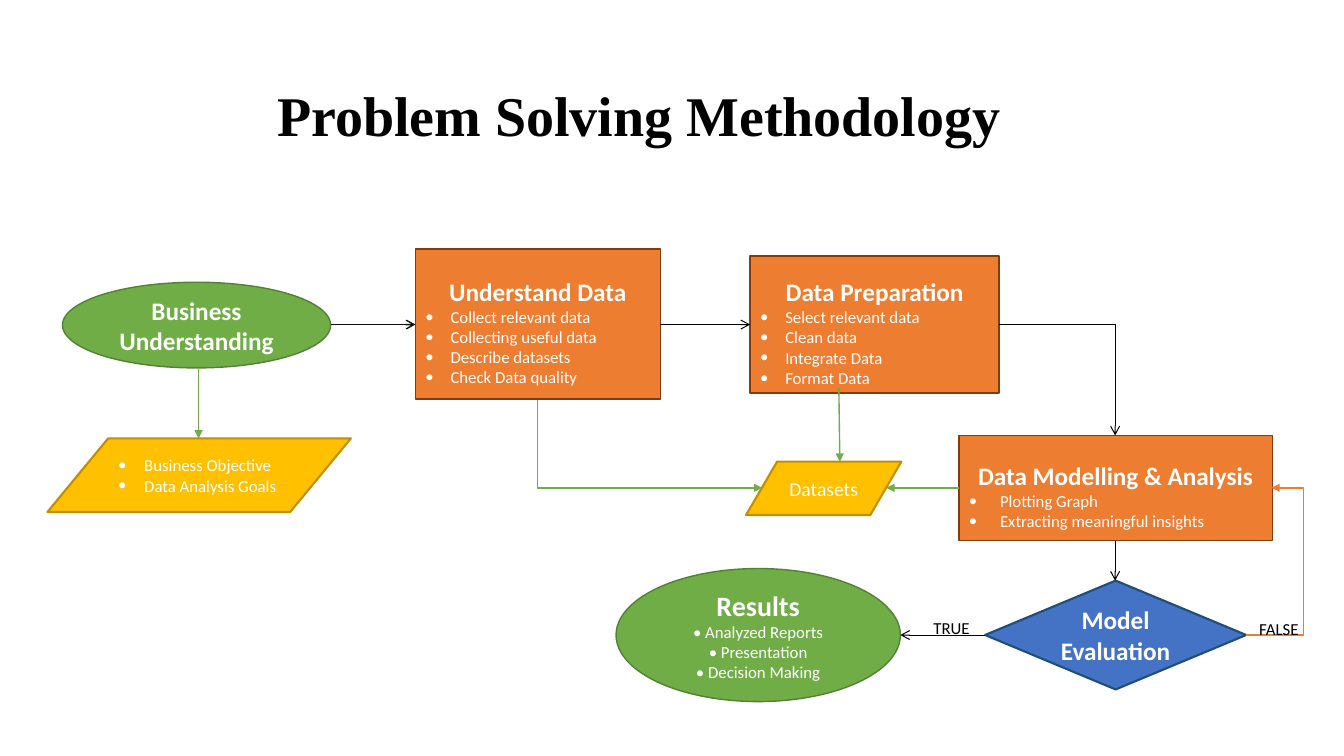
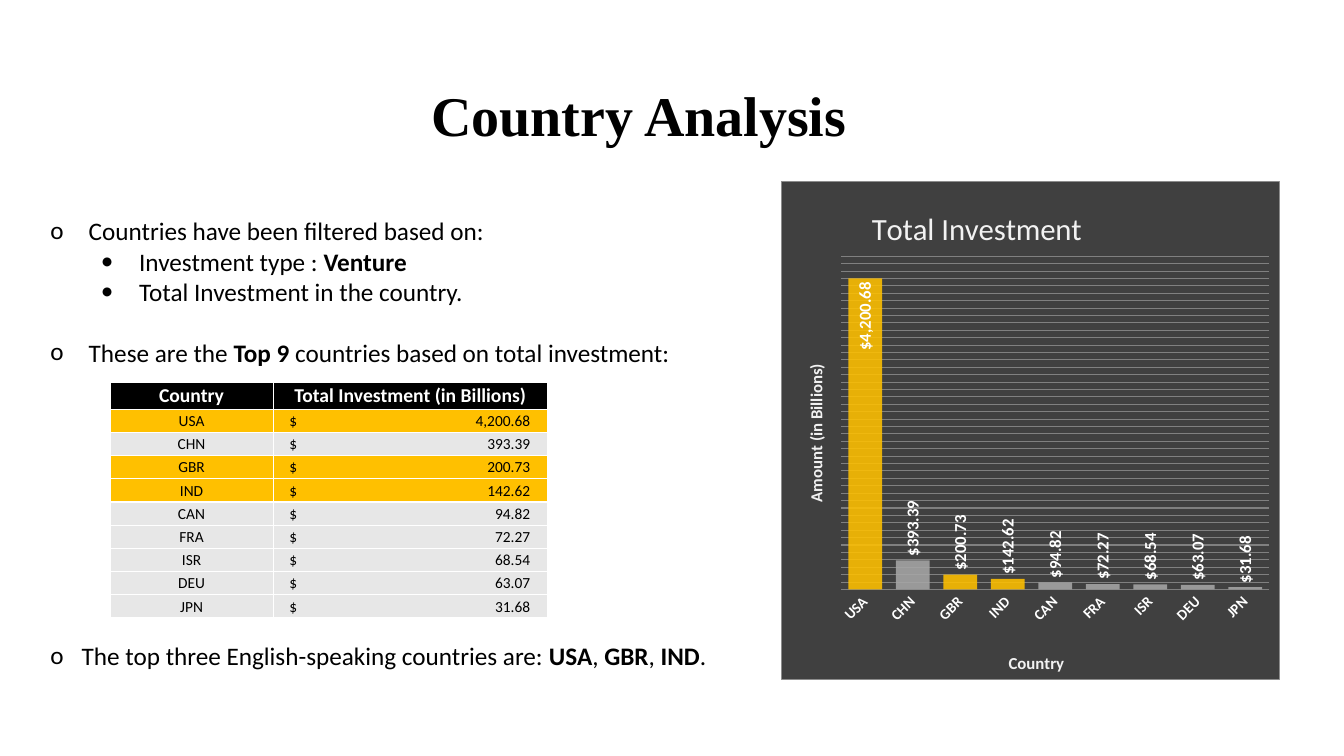
from lxml.etree import SubElement
from pptx import Presentation
from pptx.chart.data import CategoryChartData
from pptx.dml.color import RGBColor
from pptx.enum.chart import XL_CHART_TYPE, XL_LABEL_POSITION, XL_TICK_MARK
from pptx.enum.shapes import MSO_CONNECTOR, MSO_SHAPE
from pptx.enum.text import MSO_ANCHOR, MSO_AUTO_SIZE, PP_ALIGN
from pptx.oxml import parse_xml
from pptx.oxml.ns import nsdecls, qn
from pptx.util import Inches, Pt

BODY_FONT = "Calibri"
TITLE_FONT = "Times New Roman"
BLACK, WHITE, PALE = "000000", "FFFFFF", "F2F2F2"
ORANGE, GREEN, GOLD, BLUE = "ED7D31", "70AD47", "FFC000", "4472C4"
OUTLINES = {ORANGE: ("843C0B", 1), GREEN: ("538035", 1),
            GOLD: ("BF9000", 1.5), BLUE: ("1F4E79", 1.5)}
TITLE_ONLY, TITLE_AND_CONTENT = 5, 1

INVESTMENTS = {"USA": 4200.68, "CHN": 393.39, "GBR": 200.73, "IND": 142.62,
               "CAN": 94.82, "FRA": 72.27, "ISR": 68.54, "DEU": 63.07,
               "JPN": 31.68}
ENGLISH_SPEAKING = ("USA", "GBR", "IND")


def rgb(hex_color):
    return RGBColor.from_string(hex_color)


def paint(fill, hex_color):
    fill.solid()
    fill.fore_color.rgb = rgb(hex_color)


def set_font(font, size, color=BLACK, bold=False, name=BODY_FONT):
    font.name = name
    font.size = Pt(size)
    font.bold = bold
    font.color.rgb = rgb(color)


def place(shape, box):
    shape.left, shape.top, shape.width, shape.height = map(Inches, box)


def set_bullet(paragraph, char, hang, margin=None):
    """Give a hanging bullet; lengths are in inches."""
    properties = paragraph._p.get_or_add_pPr()
    properties.set("marL", str(Inches(margin or hang)))
    properties.set("indent", str(-Inches(hang)))
    SubElement(properties, qn("a:buFont")).set("typeface", BODY_FONT)
    SubElement(properties, qn("a:buChar")).set("char", char)


def add_titled_slide(deck, layout, title):
    slide = deck.slides.add_slide(deck.slide_layouts[layout])
    place(slide.shapes.title, (1.24, 0.7, 10.19, 0.94))
    frame = slide.shapes.title.text_frame
    frame.text = title
    frame.vertical_anchor = MSO_ANCHOR.MIDDLE
    heading = frame.paragraphs[0]
    heading.alignment = PP_ALIGN.CENTER
    heading.line_spacing = 0.9
    set_font(heading.font, 40, bold=True, name=TITLE_FONT)
    return slide


def add_node(slide, preset, box, color):
    """Add a flowchart shape without text."""
    node = slide.shapes.add_shape(preset, *map(Inches, box))
    node.shadow.inherit = False
    paint(node.fill, color)
    outline, width = OUTLINES[color]
    node.line.color.rgb = rgb(outline)
    node.line.width = Pt(width)
    node.text_frame.word_wrap = True
    node.text_frame.vertical_anchor = MSO_ANCHOR.MIDDLE
    return node


def write_lines(node, lines, size=12, bold=False, hang=None):
    """Add lines to a node: centred, or bulleted when hang is given."""
    frame = node.text_frame
    for line in lines:
        paragraph = frame.add_paragraph() if frame.text else frame.paragraphs[0]
        paragraph.text = line
        paragraph.alignment = PP_ALIGN.LEFT if hang else PP_ALIGN.CENTER
        set_font(paragraph.font, size, WHITE, bold)
        if hang:
            set_bullet(paragraph, "•", hang)


def add_step(slide, box, heading, tasks, hang=0.25):
    step = add_node(slide, MSO_SHAPE.RECTANGLE, box, ORANGE)
    write_lines(step, [heading], 18, bold=True)
    step.text_frame.paragraphs[0].line_spacing = 1.5
    write_lines(step, tasks, hang=hang)
    return step


def add_arrow(slide, start, end, color=BLACK, width=0.75, tip="arrow",
              tip_end="a:tailEnd", kind=MSO_CONNECTOR.STRAIGHT):
    arrow = slide.shapes.add_connector(kind, *map(Inches, start + end))
    arrow.line.color.rgb = rgb(color)
    arrow.line.width = Pt(width)
    properties = arrow.element.spPr
    SubElement(properties.find(qn("a:ln")), qn(tip_end)).set("type", tip)
    SubElement(properties, qn("a:effectLst"))
    return arrow


def add_elbow(slide, start, start_site, end, end_site, bend=None, **style):
    """Join two (node, site) pairs with one corner, or two when bend is given."""
    elbow = add_arrow(slide, start, end, kind=MSO_CONNECTOR.ELBOW, **style)
    elbow.begin_connect(*start_site)
    elbow.end_connect(*end_site)
    elbow.begin_x, elbow.begin_y = map(Inches, start)
    elbow.end_x, elbow.end_y = map(Inches, end)
    geometry = elbow.element.spPr.find(qn("a:prstGeom"))
    if bend is None:
        geometry.set("prst", "bentConnector2")
    else:
        guide = SubElement(geometry.get_or_add_avLst(), qn("a:gd"))
        guide.set("name", "adj1")
        guide.set("fmla", f"val {round(bend * 100000)}")


def add_branch_label(slide, left, top, text):
    label = slide.shapes.add_textbox(*map(Inches, (left, top, 0.73, 0.3)))
    label.text_frame.word_wrap = True
    label.text_frame.text = text
    set_font(label.text_frame.paragraphs[0].font, 12)


def build_methodology(deck):
    slide = add_titled_slide(deck, TITLE_ONLY, "Problem Solving Methodology")
    understand = add_step(
        slide, (4.12, 2.47, 2.43, 1.49), "Understand Data",
        ["Collect relevant data", "Collecting useful data",
         "Describe datasets", "Check Data quality"])
    prepare = add_step(
        slide, (7.44, 2.54, 2.47, 1.36), "Data Preparation",
        ["Select relevant data", "Clean data", "Integrate Data", "Format Data"])
    model = add_step(
        slide, (9.51, 4.32, 3.11, 1.04), "Data Modelling & Analysis",
        ["Plotting Graph", "Extracting meaningful insights"], hang=0.31)

    evaluation = add_node(slide, MSO_SHAPE.DIAMOND, (9.77, 5.76, 2.59, 1.08), BLUE)
    write_lines(evaluation, ["Model Evaluation"], 18, bold=True)
    business = add_node(slide, MSO_SHAPE.OVAL, (0.62, 2.8, 2.66, 0.85), GREEN)
    write_lines(business, ["Business Understanding"], 18, bold=True)
    goals = add_node(slide, MSO_SHAPE.FLOWCHART_DATA, (0.47, 4.35, 3.01, 0.73), GOLD)
    write_lines(goals, ["Business Objective", "Data Analysis Goals"], hang=0.26)
    datasets = add_node(slide, MSO_SHAPE.FLOWCHART_DATA, (7.4, 4.58, 1.54, 0.53), GOLD)
    write_lines(datasets, ["Datasets"], 14)
    results = add_node(slide, MSO_SHAPE.OVAL, (6.11, 5.64, 2.82, 1.32), GREEN)
    write_lines(results, ["Results"], 20, bold=True)
    write_lines(results, ["• Analyzed Reports", "• Presentation", "• Decision Making"])

    data_flow = {"color": GREEN, "width": 1, "tip": "triangle"}
    add_arrow(slide, (3.28, 3.22), (4.12, 3.22), "0D0D0D", 1)
    add_arrow(slide, (6.55, 3.22), (7.44, 3.22))
    add_arrow(slide, (11.06, 5.37), (11.06, 5.76))
    add_arrow(slide, (9.77, 6.3), (8.93, 6.3))
    add_arrow(slide, (9.51, 4.84), (8.79, 4.84), **data_flow)
    add_arrow(slide, (8.32, 3.85), (8.33, 4.58), **data_flow)
    add_arrow(slide, (1.97, 3.65), (1.97, 4.35), **data_flow)
    # Sites: 0 top, 1 left, 2 bottom, 3 right; site 2 of datasets is its left side.
    add_elbow(slide, (9.91, 3.22), (prepare, 3), (11.06, 4.32), (model, 0))
    add_elbow(slide, (7.56, 4.84), (datasets, 2), (5.33, 3.97), (understand, 2),
              tip_end="a:headEnd", **data_flow)
    add_elbow(slide, (12.36, 6.3), (evaluation, 3), (12.61, 4.84), (model, 3),
              bend=2.28, color=ORANGE, width=1, tip="triangle")
    add_branch_label(slide, 12.39, 6.09, "FALSE")
    add_branch_label(slide, 9.16, 6.08, "TRUE")


def add_findings(slide):
    """Fill the body list; text between asterisks is bold."""
    findings = [
        ("Countries have been filtered based on:", 0, "o", 0.38, 0.38, 0),
        ("Investment type : *Venture*", 1, "•", 0.38, 0.88, 0),
        ("Total Investment in the country.", 1, "•", 0.38, 0.88, 0),
        ("These are the *Top 9* countries based on total investment:",
         0, "o", 0.38, 0.38, 22),
        ("The top three English-speaking countries are: *USA*, *GBR*, *IND*.",
         0, "o", 0.31, 0.31, 195),
    ]
    body = slide.placeholders[1]
    place(body, (0.4, 2.09, 7.35, 4.64))
    frame = body.text_frame
    frame.word_wrap = True
    frame.auto_size = MSO_AUTO_SIZE.NONE
    frame.vertical_anchor = MSO_ANCHOR.TOP
    for index, (text, level, char, hang, margin, gap) in enumerate(findings):
        paragraph = frame.add_paragraph() if index else frame.paragraphs[0]
        paragraph.level = level
        paragraph.space_before = Pt(gap)
        set_font(paragraph.font, 18)
        set_bullet(paragraph, char, hang, margin)
        for part, words in enumerate(text.split("*")):
            run = paragraph.add_run()
            run.text = words
            run.font.bold = part % 2 == 1


def write_cell(cell, text, fill, size=11, color=BLACK, bold=False):
    paint(cell.fill, fill)
    cell.vertical_anchor = MSO_ANCHOR.MIDDLE
    cell.margin_left = cell.margin_right = cell.margin_top = Inches(0.01)
    cell.margin_bottom = 0
    cell.text = text
    paragraph = cell.text_frame.paragraphs[0]
    paragraph.alignment = PP_ALIGN.CENTER
    set_font(paragraph.font, size, color, bold)


def align_amount(cell):
    """Keep the currency sign left and the number at a right tab stop."""
    cell.margin_left = Inches(0.16)
    paragraph = cell.text_frame.paragraphs[0]
    paragraph.alignment = PP_ALIGN.LEFT
    tabs = SubElement(paragraph._p.get_or_add_pPr(), qn("a:tabLst"))
    stop = SubElement(tabs, qn("a:tab"))
    stop.set("pos", str(Inches(2.39)))
    stop.set("algn", "r")


def add_investment_table(slide):
    table = slide.shapes.add_table(len(INVESTMENTS) + 1, 2,
                                   *map(Inches, (1.09, 3.79, 4.34, 2.36))).table
    for column, width in zip(table.columns, (1.62, 2.72)):
        column.width = Inches(width)
    for index, row in enumerate(table.rows):
        row.height = Inches(0.23 if index else 0.27)
    for column, heading in enumerate(("Country", "Total Investment (in Billions)")):
        write_cell(table.cell(0, column), heading, BLACK, 14, WHITE, bold=True)
    for row, (country, amount) in enumerate(INVESTMENTS.items(), start=1):
        fill = GOLD if country in ENGLISH_SPEAKING else "E7E7E7"
        write_cell(table.cell(row, 0), country, fill)
        write_cell(table.cell(row, 1), f"$\t{amount:,.2f}", fill)
        align_amount(table.cell(row, 1))


def set_layout(element, x, y, size=None):
    """Place a chart part by fractions of the chart."""
    for old in element.findall(qn("c:layout")):
        element.remove(old)
    values = {"xMode": "edge", "yMode": "edge", "x": x, "y": y}
    if size:
        values = {"layoutTarget": "inner", **values, "w": size[0], "h": size[1]}
    layout = parse_xml(f"<c:layout {nsdecls('c')}><c:manualLayout/></c:layout>")
    for tag, value in values.items():
        SubElement(layout[0], qn(f"c:{tag}")).set("val", str(value))
    text = element.find(qn("c:tx"))
    if text is None:
        element.insert(0, layout)
    else:
        text.addnext(layout)


def write_chart_title(title, text, size, color, bold, x, y):
    title.text_frame.text = text
    set_font(title.text_frame.paragraphs[0].font, size, color, bold)
    set_layout(title.element, x, y)


def rotate_text(chart, query, degrees):
    for body in chart.element.xpath(query):
        body.set("rot", str(degrees * 60000))
        body.set("vert", "horz")


def add_investment_chart(slide):
    data = CategoryChartData(number_format='"$"#,##0.00')
    data.categories = list(INVESTMENTS)
    data.add_series("Series 1", list(INVESTMENTS.values()))
    chart = slide.shapes.add_chart(XL_CHART_TYPE.COLUMN_CLUSTERED,
                                   *map(Inches, (7.75, 1.8, 4.94, 4.94)), data).chart
    set_font(chart.font, 10)
    chart.has_legend = False
    chart.has_title = True
    write_chart_title(chart.chart_title, "Total Investment", 22, PALE, False, 0.17, 0.04)

    countries, amounts = chart.category_axis, chart.value_axis
    write_chart_title(countries.axis_title, "Country", 12, PALE, True, 0.45, 0.94)
    countries.major_tick_mark = XL_TICK_MARK.NONE
    countries.format.line.fill.background()
    set_font(countries.tick_labels.font, 10.5, WHITE, True)
    write_chart_title(amounts.axis_title, "Amount (in Billions)", 12, PALE, True, 0.04, 0.36)
    amounts.minimum_scale, amounts.maximum_scale = 0, 4500
    amounts.major_unit, amounts.minor_unit = 500, 100
    amounts.has_major_gridlines = amounts.has_minor_gridlines = True
    for gridlines in chart.element.xpath(".//c:majorGridlines | .//c:minorGridlines"):
        gridlines.append(parse_xml(
            f"<c:spPr {nsdecls('c', 'a')}><a:ln w='9525'><a:solidFill>"
            "<a:srgbClr val='808080'/></a:solidFill></a:ln></c:spPr>"))
    amounts.visible = False

    plot = chart.plots[0]
    plot.gap_width = 41
    plot.vary_by_categories = False
    bars = plot.series[0]
    paint(bars.format.fill, "A6A6A6")
    for index, country in enumerate(INVESTMENTS):
        if country in ENGLISH_SPEAKING:
            paint(bars.points[index].format.fill, GOLD)
    for color in chart.element.xpath(".//c:ser//c:spPr/a:solidFill/a:srgbClr"):
        SubElement(color, qn("a:alpha")).set("val", "88000")
    labels, tallest = bars.data_labels, bars.points[0].data_label
    labels.show_value = True
    labels.number_format = '"$"#,##0.00'
    labels.number_format_is_linked = False
    labels.position = XL_LABEL_POSITION.OUTSIDE_END
    tallest.position = XL_LABEL_POSITION.INSIDE_END
    for label in (labels, tallest):
        set_font(label.font, 12, WHITE, True)

    rotate_text(chart, ".//c:ser//c:txPr/a:bodyPr", -90)
    rotate_text(chart, ".//c:catAx/c:txPr/a:bodyPr", -45)
    rotate_text(chart, ".//c:valAx/c:title//a:bodyPr", -90)
    set_layout(chart.element.xpath(".//c:plotArea")[0], 0.12, 0.15, (0.86, 0.67))
    chart.element.xpath("c:chart")[0].addnext(parse_xml(
        f"<c:spPr {nsdecls('c', 'a')}><a:solidFill><a:srgbClr val='404040'/></a:solidFill>"
        "<a:ln w='6350'><a:solidFill><a:srgbClr val='8C8C8C'/></a:solidFill></a:ln></c:spPr>"))


def build_country_analysis(deck):
    slide = add_titled_slide(deck, TITLE_AND_CONTENT, "Country Analysis")
    add_investment_chart(slide)
    add_findings(slide)
    add_investment_table(slide)


def main():
    deck = Presentation()
    deck.slide_width, deck.slide_height = Inches(13.33), Inches(7.5)
    build_methodology(deck)
    build_country_analysis(deck)
    deck.save("out.pptx")


if __name__ == "__main__":
    main()
